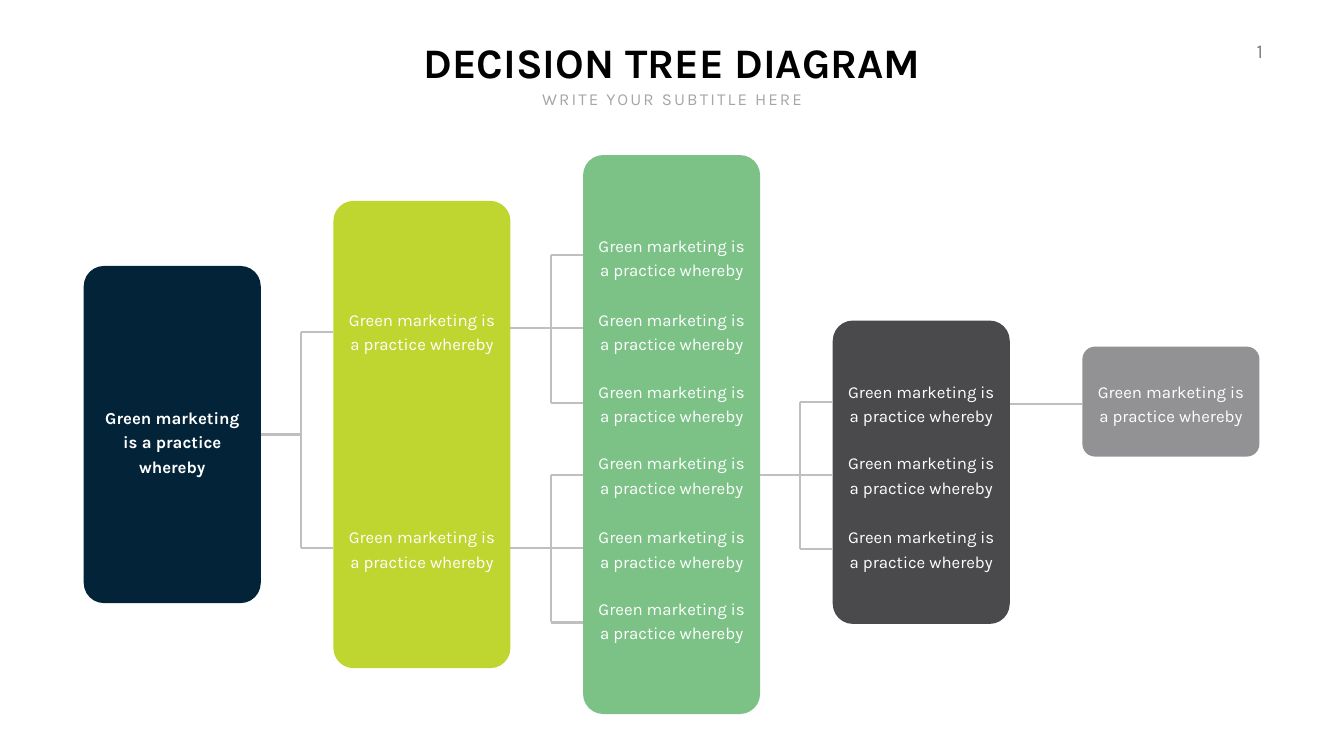
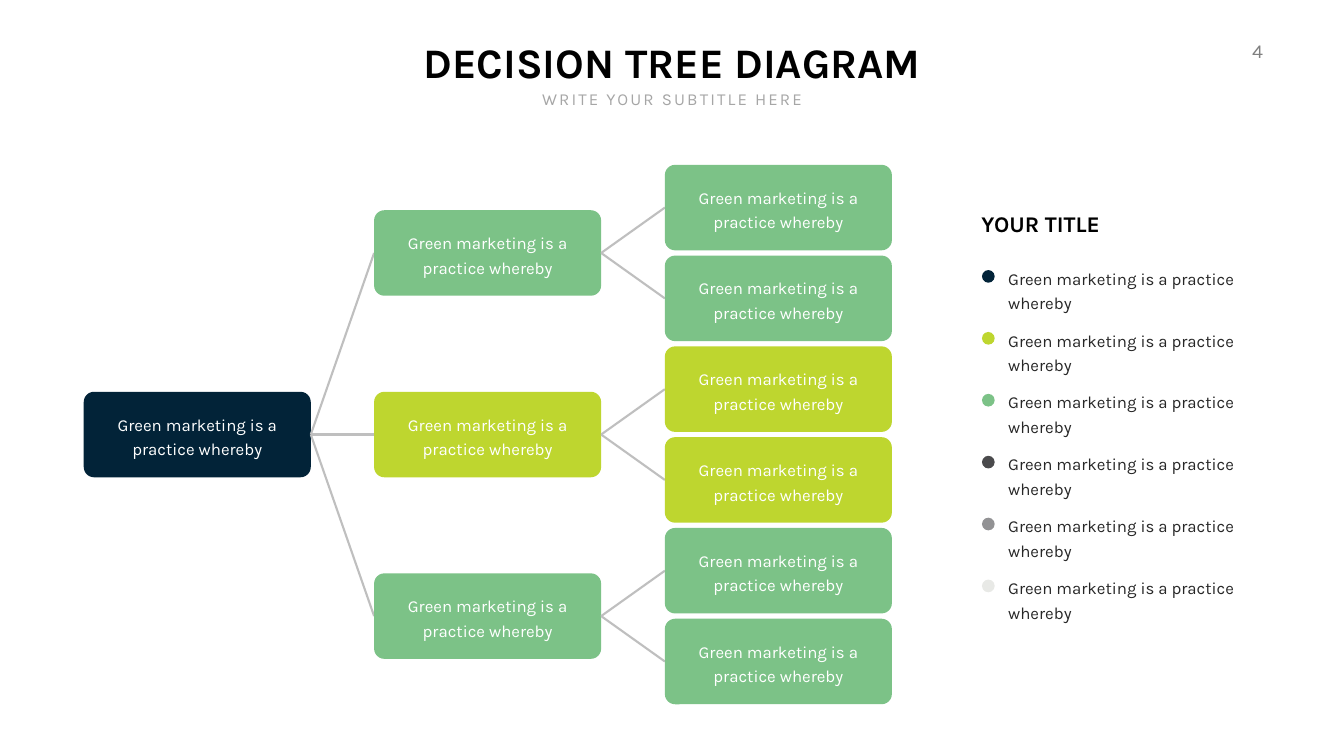
"""Build two decision tree slides."""
from lxml.etree import SubElement
from pptx import Presentation
from pptx.dml.color import RGBColor
from pptx.enum.shapes import MSO_CONNECTOR as Link, MSO_SHAPE as Kind
from pptx.enum.text import MSO_ANCHOR as Anchor, MSO_AUTO_SIZE as Fit, PP_ALIGN as Align
from pptx.oxml.ns import qn
from pptx.util import Cm, Pt

NAVY = RGBColor(0x02, 0x23, 0x38)
LIME = RGBColor(0xBE, 0xD6, 0x2F)
GREEN = RGBColor(0x7C, 0xC2, 0x87)
DARK = RGBColor(0x4A, 0x4A, 0x4C)
GREY = RGBColor(0x92, 0x92, 0x94)
PALE = RGBColor(0xE8, 0xE9, 0xE6)
RULE = RGBColor(0xBF, 0xBF, 0xBF)
SOFT = RGBColor(0xA6, 0xA6, 0xA6)
PAGE = RGBColor(0x80, 0x80, 0x80)
INK = RGBColor(0x27, 0x27, 0x27)
BLACK = RGBColor(0, 0, 0)
WHITE = RGBColor(255, 255, 255)

FONT = "Karla"
TITLE = "DECISION TREE DIAGRAM"
SUB = "WRITE YOUR SUBTITLE HERE"
BODY = "Green marketing is a practice whereby"
KEY = "YOUR TITLE"

LEFT = 4.22
MID = 21.9

ROWS = (12.89, 16.62, 20.23, 23.84, 27.57, 31.18)
COL_W, COL_GAP, STUB, NOTE_W = 8.92, 3.66, 2.03, 7.98
# colour, middle, height, text middles
COLS = [
    (NAVY, MID, 16.99, (22.16,)),
    (LIME, MID, 23.55, (ROWS[1], ROWS[4])),
    (GREEN, MID, 28.17, ROWS),
    (DARK, 23.8, 15.29, ROWS[2:5]),
    (GREY, 20.24, 5.54, (ROWS[2],)),
]
# column, stem, teeth, stem crosses the whole gap
FORKS = [
    (0, MID, (16.74, 27.61), False),
    (1, 16.54, (12.85, 20.29), True),
    (1, 27.61, (23.95, 31.37), True),
    (2, 23.95, (20.27, 27.69), True),
    (3, 20.35, (), True),
]

CARD_W, CARD_H, CARD_TEXT = 11.44, 4.31, 9.27
CARD_X = (LEFT, 18.85, 33.5)
STEP = 9.15
BRANCHES = (GREEN, LIME, GREEN)
LEGEND = (NAVY, LIME, GREEN, DARK, GREY, PALE)


def fill(slide, kind, x, y, w, h, color, adj=None):
    shape = slide.shapes.add_shape(kind, Cm(x), Cm(y), Cm(w), Cm(h))
    shape.shadow.inherit = False
    shape.fill.solid()
    shape.fill.fore_color.rgb = color
    shape.line.fill.background()
    if adj:
        shape.adjustments[0] = adj


def rule(slide, x, y, to_x, to_y):
    line = slide.shapes.add_connector(Link.STRAIGHT, Cm(x), Cm(y), Cm(to_x), Cm(to_y))
    line.line.color.rgb = RULE
    line.line.width = Pt(3)
    SubElement(line._element.spPr, qn("a:effectLst"))


def write(slide, text, x, y, w, h, size, color, align=Align.LEFT, bold=False,
          wrap=False, mid=False, gap=0, lead=None):
    box = slide.shapes.add_textbox(Cm(x), Cm(y), Cm(w), Cm(h))
    frame = box.text_frame
    frame.word_wrap = wrap
    frame.auto_size = Fit.SHAPE_TO_FIT_TEXT
    frame.vertical_anchor = Anchor.MIDDLE if mid else Anchor.TOP
    para = frame.paragraphs[0]
    para.alignment = align
    if lead:
        para.line_spacing = Pt(lead)
    run = para.add_run()
    run.text = text
    if gap:
        run._r.get_or_add_rPr().set("spc", str(gap * 100))
    font = para.font
    font.name, font.size, font.bold = FONT, Pt(size), bold
    font.color.rgb = color


def note(slide, x, mid, w, h=2.62, bold=False):
    write(slide, BODY, x, mid - h / 2, w, h, 24, WHITE, Align.CENTER, bold,
          wrap=True, mid=True, lead=35)


def start(deck, page):
    slide = deck.slides.add_slide(deck.slide_layouts[6])
    write(slide, page, 61.65, 1.83, 2.24, 1.45, 28, PAGE, Align.RIGHT, gap=3)
    write(slide, TITLE, 20.4, 1.7, 26.93, 2.82, 60, BLACK, Align.CENTER, True)
    write(slide, SUB, 26.97, 4.37, 13.79, 1.27, 24, SOFT, Align.CENTER, gap=3)
    return slide


def columns(slide):
    for i, (color, mid, h, rows) in enumerate(COLS):
        x = LEFT + i * (COL_W + COL_GAP)
        fill(slide, Kind.ROUNDED_RECTANGLE, x, mid - h / 2, COL_W, h, color, 0.114)
        for row in rows:
            first = i == 0
            note(slide, x + (COL_W - NOTE_W) / 2, row, NOTE_W, 3.94 if first else 2.62, first)
    for i, stem, teeth, cross in FORKS:
        x = LEFT + i * (COL_W + COL_GAP) + COL_W
        spine, end = x + STUB, x + COL_GAP
        rule(slide, x, stem, end if cross else spine, stem)
        for y in teeth:
            rule(slide, spine, y, end, y)
        if teeth:
            rule(slide, spine, teeth[0], spine, teeth[-1])


def card(slide, level, mid, color):
    x = CARD_X[level]
    fill(slide, Kind.ROUNDED_RECTANGLE, x, mid - CARD_H / 2, CARD_W, CARD_H, color, 0.12)
    note(slide, x + (CARD_W - CARD_TEXT) / 2, mid, CARD_TEXT)


def link(slide, level, y, to_y):
    rule(slide, CARD_X[level] + CARD_W, y, CARD_X[level + 1], to_y)


def tree(slide):
    card(slide, 0, MID, NAVY)
    for i, color in enumerate(BRANCHES):
        mid = MID + (i - 1) * STEP
        link(slide, 0, MID, mid)
        card(slide, 1, mid, color)
        for side in (-1, 1):
            leaf = mid + side * STEP / 4
            link(slide, 1, mid, leaf)
            card(slide, 2, leaf, color)


def legend(slide):
    write(slide, KEY, 49.2, 10.46, 6.81, 1.63, 32, BLACK, bold=True, mid=True)
    for i, color in enumerate(LEGEND):
        y = 13.18 + i * 3.12
        fill(slide, Kind.OVAL, 49.48, y + 0.43, 0.64, 0.64, color)
        write(slide, BODY, 50.55, y, 11.94, 2.62, 24, INK, wrap=True, lead=35)


def main():
    deck = Presentation()
    deck.slide_width, deck.slide_height = Cm(67.72), Cm(38.1)
    columns(start(deck, "1"))
    slide = start(deck, "4")
    tree(slide)
    legend(slide)
    deck.save("out.pptx")


if __name__ == "__main__":
    main()
